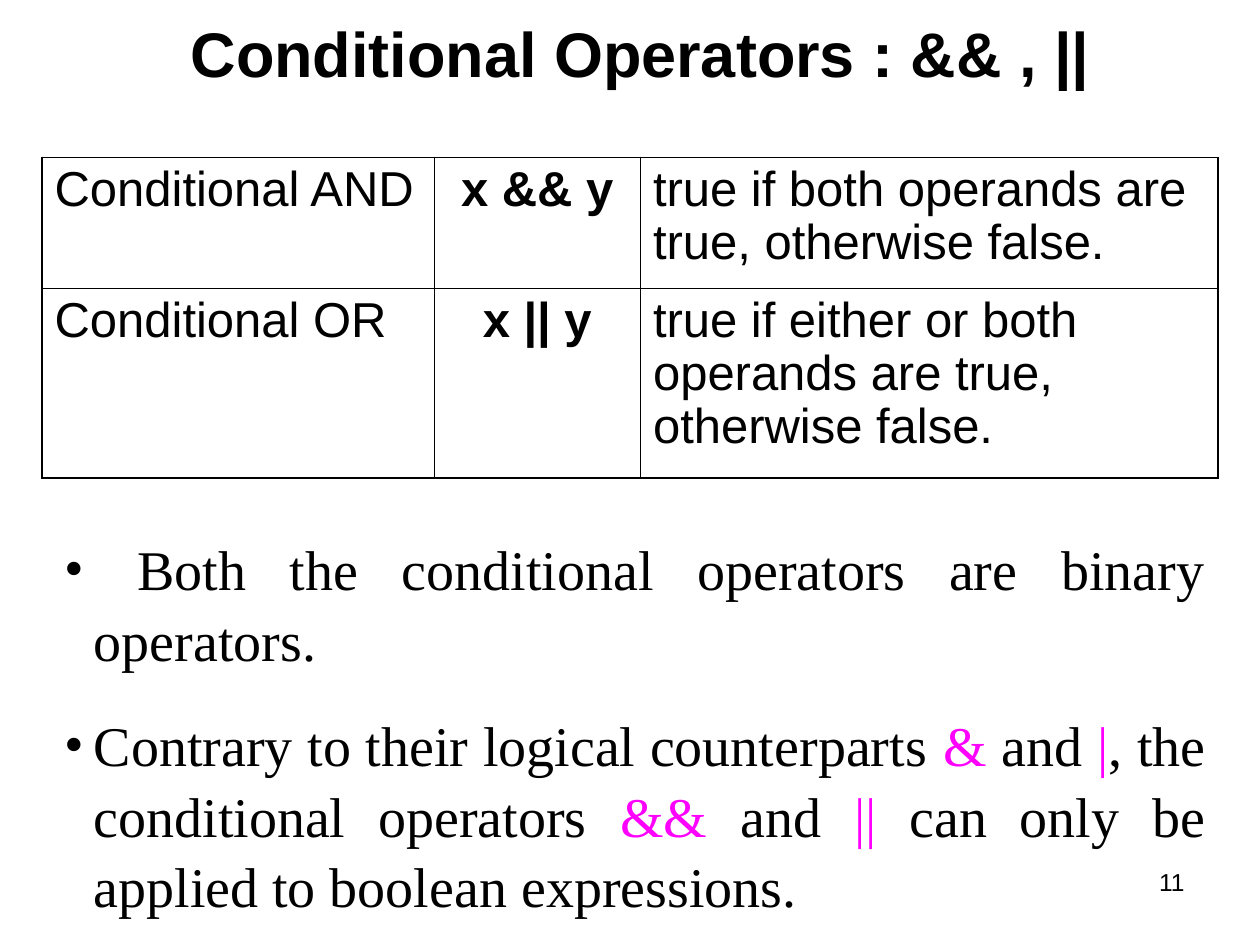
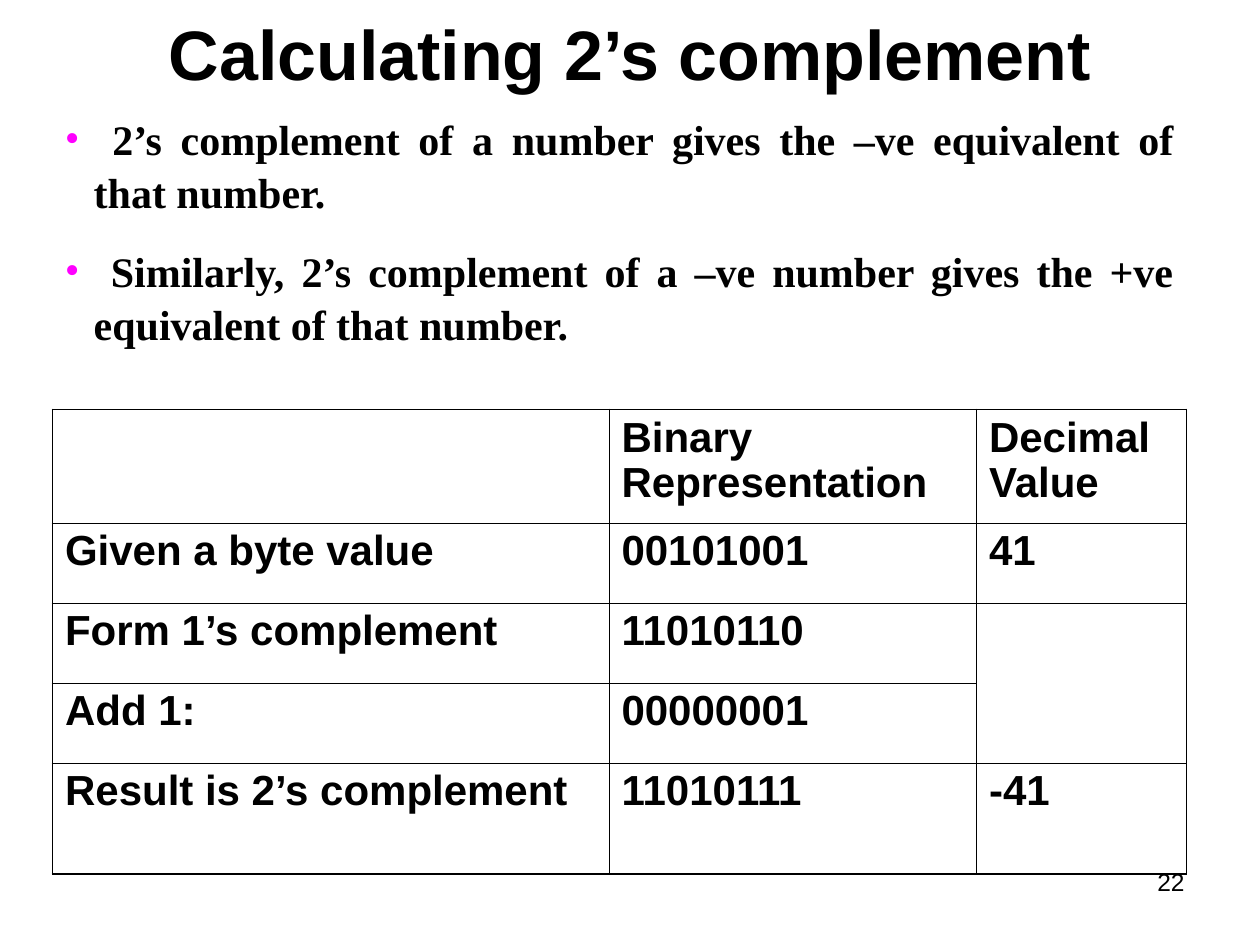
from lxml import etree
from pptx import Presentation
from pptx import util as u
from pptx.dml.color import RGBColor
from pptx.enum import text
from pptx.oxml.ns import qn

COLORS = {"ink": "000000", "accent": "FF00FF"}
HEADING_FONT = "Arial"
BODY_FONT = "Times New Roman"
OUTER_LINE, INNER_LINE = 1.08, 0.45
BULLET_INDENT = 16.5
ALIGN = {
    "left": text.PP_ALIGN.LEFT,
    "center": text.PP_ALIGN.CENTER,
    "right": text.PP_ALIGN.RIGHT,
    "justify": text.PP_ALIGN.JUSTIFY,
}


def write(para, content, size, font=HEADING_FONT, bold=False, align="left",
          before=0, spacing=None):
    """Fill a paragraph; content is a string or a list of (text, colour name)."""
    para.alignment = ALIGN[align]
    para.space_before = u.Pt(before)
    if spacing:
        para.line_spacing = spacing
    spans = [(content, "ink")] if isinstance(content, str) else content
    for words, color in spans:
        span = para.add_run()
        span.text = words
        span.font.size = u.Pt(size)
        span.font.name = font
        span.font.bold = bold
        span.font.color.rgb = RGBColor.from_string(COLORS[color])


def add_box(page, left, top, width, height, anchor=text.MSO_ANCHOR.TOP):
    box = page.shapes.add_textbox(u.Pt(left), u.Pt(top), u.Pt(width), u.Pt(height))
    frame = box.text_frame
    frame.word_wrap = True
    frame.vertical_anchor = anchor
    return frame


def add_title(page, title, left, width, size):
    frame = add_box(page, left, 0, width, 60, text.MSO_ANCHOR.MIDDLE)
    write(frame.paragraphs[0], title, size, bold=True, align="center")


def add_page_number(page, number):
    frame = add_box(page, 516, 492, 168, 37.5)
    write(frame.paragraphs[0], str(number), 14, align="right")


def set_bullet(para, color):
    props = para._p.get_or_add_pPr()
    props.set("marL", str(u.Pt(BULLET_INDENT)))
    props.set("indent", str(-u.Pt(BULLET_INDENT)))
    fill = etree.SubElement(props, qn("a:buClr"))
    etree.SubElement(fill, qn("a:srgbClr"), val=COLORS[color])
    etree.SubElement(props, qn("a:buFont"), typeface=BODY_FONT)
    etree.SubElement(props, qn("a:buChar"), char="•")


def add_bullets(page, items, top, width, height, size, before,
                bullet="ink", bold=False):
    frame = add_box(page, 30, top, width, height)
    for index, item in enumerate(items):
        para = frame.add_paragraph() if index else frame.paragraphs[0]
        write(para, item, size, BODY_FONT, bold, "justify", before, spacing=1.05)
        set_bullet(para, bullet)


def set_borders(cell, outer_sides):
    props = cell._tc.get_or_add_tcPr()
    for side in "LRTB":
        weight = OUTER_LINE if side in outer_sides else INNER_LINE
        line = etree.SubElement(props, qn(f"a:ln{side}"), w=str(u.Pt(weight)))
        fill = etree.SubElement(line, qn("a:solidFill"))
        etree.SubElement(fill, qn("a:srgbClr"), val=COLORS["ink"])


def add_grid(page, rows, left, top, widths, heights, size, before,
             bold_columns, centered_columns=()):
    """Add an unfilled table with a heavier outer frame."""
    frame = page.shapes.add_table(len(rows), len(widths), u.Pt(left), u.Pt(top),
                                  u.Pt(sum(widths)), u.Pt(sum(heights)))
    table = frame.table
    table.first_row = table.horz_banding = False
    for column, width in zip(table.columns, widths):
        column.width = u.Pt(width)
    for row, height in zip(table.rows, heights):
        row.height = u.Pt(height)
    last_row, last_column = len(rows) - 1, len(widths) - 1
    for r, values in enumerate(rows):
        for c, value in enumerate(values):
            cell = table.cell(r, c)
            edges = {"L": c == 0, "R": c == last_column,
                     "T": r == 0, "B": r == last_row}
            set_borders(cell, [side for side, outer in edges.items() if outer])
            cell.fill.background()
            if value:
                write(cell.text_frame.paragraphs[0], value, size,
                      bold=c in bold_columns, before=before, spacing=0.97,
                      align="center" if c in centered_columns else "left")
    return table


def build_conditional_operators(page):
    add_title(page, "Conditional Operators : && , ||", 30, 672, 36)
    operators = [
        ("Conditional AND", "x && y",
         "true if both operands are true, otherwise false."),
        ("Conditional OR", "x || y",
         "true if either or both operands are true, otherwise false."),
    ]
    add_grid(page, operators, 24, 90, [224, 118, 330], [75, 108], 28, 7,
             bold_columns=[1], centered_columns=[1])
    notes = [
        " Both the conditional operators are binary operators.",
        [("Contrary to their logical counterparts ", "ink"), ("&", "accent"),
         (" and ", "ink"), ("|", "accent"),
         (", the conditional operators ", "ink"), ("&&", "accent"),
         (" and ", "ink"), ("||", "accent"),
         (" can only be applied to boolean expressions.", "ink")],
    ]
    add_bullets(page, notes, 300, 666, 219.6, 32, 20)
    add_page_number(page, 11)


def build_twos_complement(page):
    add_title(page, "Calculating 2’s complement", 54, 612, 40)
    steps = [
        ("", "Binary Representation", "Decimal Value"),
        ("Given a byte value", "00101001", "41"),
        ("Form 1’s complement", "11010110", ""),
        ("Add 1:", "00000001", ""),
        ("Result is 2’s complement", "11010111", "-41"),
    ]
    table = add_grid(page, steps, 30, 234, [318, 210, 120],
                     [65, 45.7, 45.7, 45.7, 63.5], 24, 6, bold_columns=range(3))
    table.cell(2, 2).merge(table.cell(3, 2))
    notes = [
        " 2’s complement of a number gives the –ve equivalent of that number.",
        " Similarly, 2’s complement of a –ve number gives the +ve equivalent"
        " of that number.",
    ]
    add_bullets(page, notes, 60, 648, 137.5, 24, 15, bullet="accent", bold=True)
    add_page_number(page, 22)


def main():
    deck = Presentation()
    deck.slide_width, deck.slide_height = u.Pt(720), u.Pt(540)
    for build in (build_conditional_operators, build_twos_complement):
        build(deck.slides.add_slide(deck.slide_layouts[6]))
    deck.save("out.pptx")


if __name__ == "__main__":
    main()
